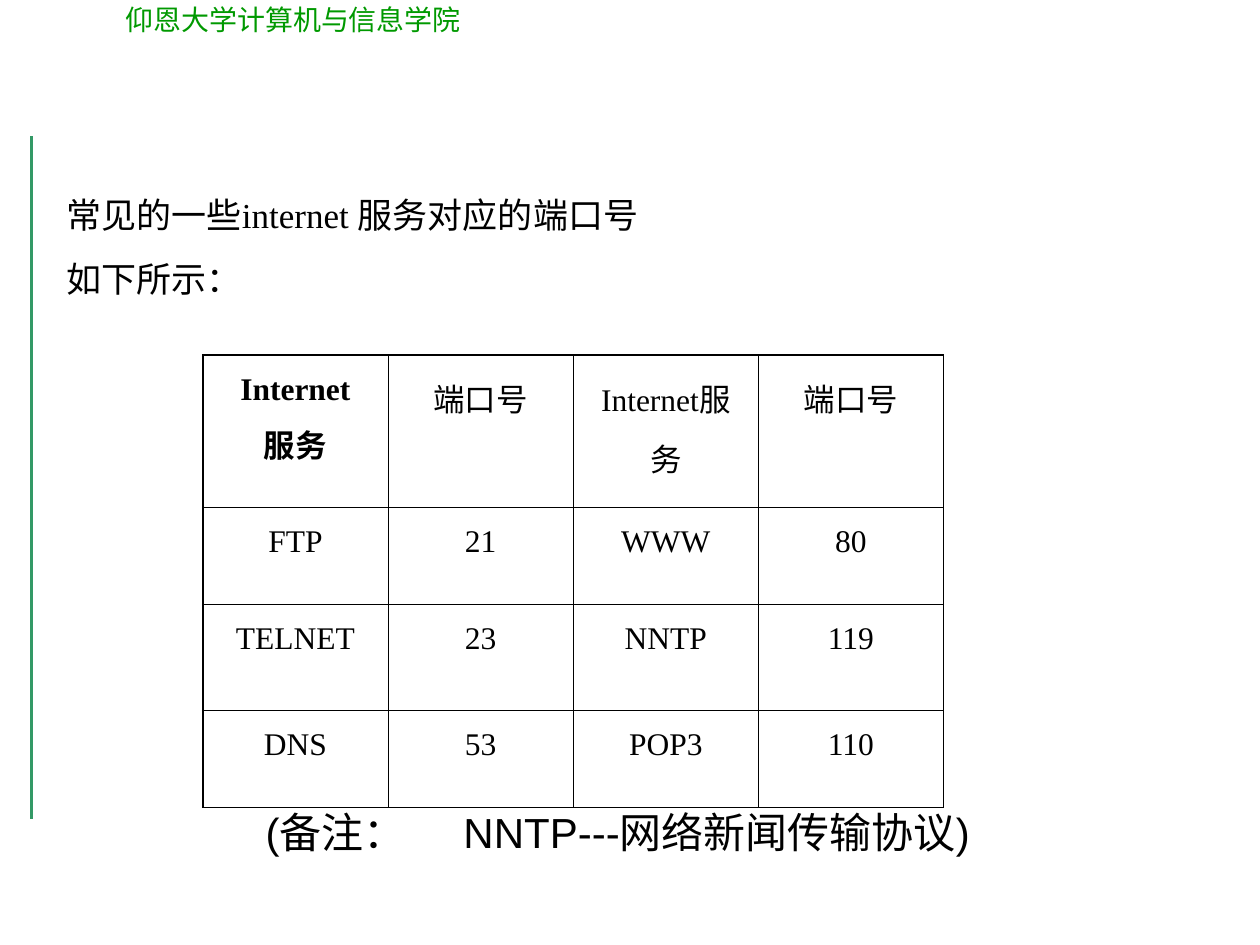
from pptx import Presentation
from pptx.dml.color import RGBColor
from pptx.enum.shapes import MSO_CONNECTOR
from pptx.enum.text import PP_ALIGN
from pptx.oxml import parse_xml
from pptx.oxml.ns import nsdecls
from pptx.util import Inches, Pt
from lxml.etree import SubElement

BLACK = RGBColor(0x00, 0x00, 0x00)
GREEN = RGBColor(0x00, 0x99, 0x00)
RULE_GREEN = RGBColor(0x33, 0x99, 0x66)
SERIF, SANS = "Times New Roman", "Arial"
THIN, THICK = Pt(0.45), Pt(1.08)

ROW_HEIGHTS = [1.21, 0.77, 0.84, 0.77]
PORTS = [
    ["Internet\v服务", "端口号", "Internet服务", "端口号"],
    ["FTP", "21", "WWW", "80"],
    ["TELNET", "23", "NNTP", "119"],
    ["DNS", "53", "POP3", "110"],
]


def style(p, size, font=SERIF, color=BLACK, bold=False, **layout):
    """Apply paragraph layout values, then the font of every run."""
    for name, value in layout.items():
        setattr(p, name, value)
    for r in p.runs:
        for name, value in dict(size=Pt(size), name=font, bold=bold).items():
            setattr(r.font, name, value)
        r.font.color.rgb = color


def add_text(slide, box, lines):
    tf = slide.shapes.add_textbox(*map(Inches, box)).text_frame
    tf.word_wrap = True
    tf.text = "\n".join(lines)
    return tf.paragraphs


def add_side_rule(slide, x, top, bottom):
    line = slide.shapes.add_connector(
        MSO_CONNECTOR.STRAIGHT, Inches(x), Inches(top), Inches(x), Inches(bottom))
    line.line.color.rgb = RULE_GREEN
    line.line.width = Pt(2.25)
    SubElement(line._element.spPr, "{http://schemas.openxmlformats.org/drawingml/2006/main}effectLst")


def add_school_name(slide, box):
    style(add_text(slide, box, ["仰恩大学计算机与信息学院"])[0], 16, color=GREEN)


def add_intro(slide, box):
    first, second = add_text(
        slide, box, ["常见的一些internet 服务对应的端口号", "如下所示："])
    style(first, 20, line_spacing=1.3)
    style(second, 20, line_spacing=1.3, space_before=Pt(5))


def set_borders(cell, widths):
    """Draw solid borders; widths maps the sides L, R, T, B in that order."""
    tc_pr = cell._tc.get_or_add_tcPr()
    for side, width in widths.items():
        tc_pr.append(parse_xml(
            f'<a:ln{side} {nsdecls("a")} w="{int(width)}"><a:solidFill>'
            f'<a:srgbClr val="{BLACK}"/></a:solidFill></a:ln{side}>'))


def add_port_table(slide, box):
    rows, cols = len(PORTS), len(PORTS[0])
    table = slide.shapes.add_table(rows, cols, *map(Inches, box)).table
    table.first_row = table.horz_banding = False
    for row, height in zip(table.rows, ROW_HEIGHTS):
        row.height = Inches(height)
    for col in table.columns:
        col.width = Inches(box[2] / cols)
    for i, values in enumerate(PORTS):
        for j, value in enumerate(values):
            cell = table.cell(i, j)
            cell.text = value
            style(cell.text_frame.paragraphs[0], 18, bold=i == j == 0,
                  alignment=PP_ALIGN.CENTER, line_spacing=1.3)
            outer = dict(L=j == 0, R=j == cols - 1, T=i == 0, B=i == rows - 1)
            set_borders(cell, {side: THICK if edge else THIN
                               for side, edge in outer.items()})
            cell.fill.background()


def add_note(slide, box):
    p = add_text(slide, box, ["(备注：\tNNTP---网络新闻传输协议)"])[0]
    p._p.get_or_add_pPr().append(parse_xml(
        f'<a:tabLst {nsdecls("a")}><a:tab pos="{Inches(1.57)}" algn="l"/></a:tabLst>'))
    style(p, 24, font=SANS)


def main():
    prs = Presentation()
    prs.slide_width, prs.slide_height = Inches(10), Inches(7.5)
    slide = prs.slides.add_slide(prs.slide_layouts[6])
    add_side_rule(slide, 0.25, 1.08, 6.5)
    add_school_name(slide, (0.9, -0.03, 2.89, 0.37))
    add_intro(slide, (0.43, 1.39, 8.03, 1.34))
    add_port_table(slide, (1.61, 2.82, 5.88, sum(ROW_HEIGHTS)))
    add_note(slide, (2.01, 6.35, 6.69, 0.57))
    prs.save("out.pptx")


if __name__ == "__main__":
    main()
